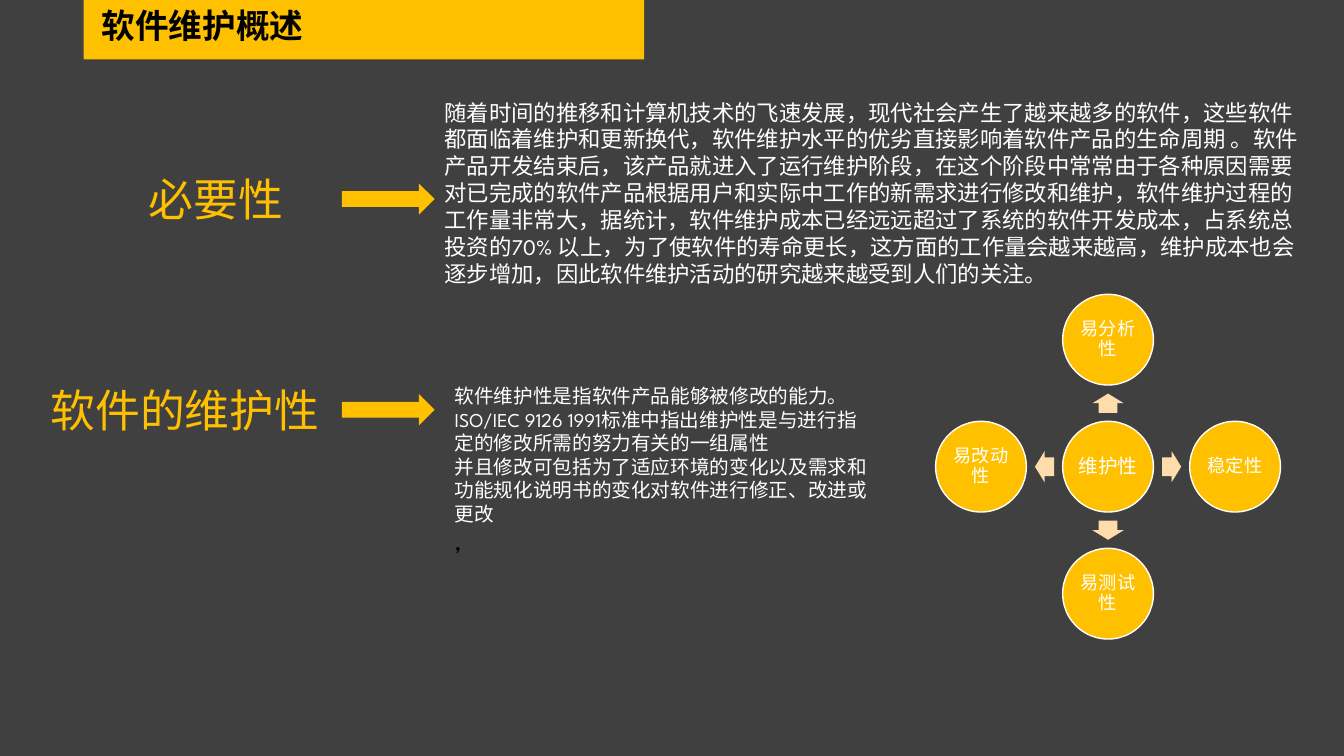
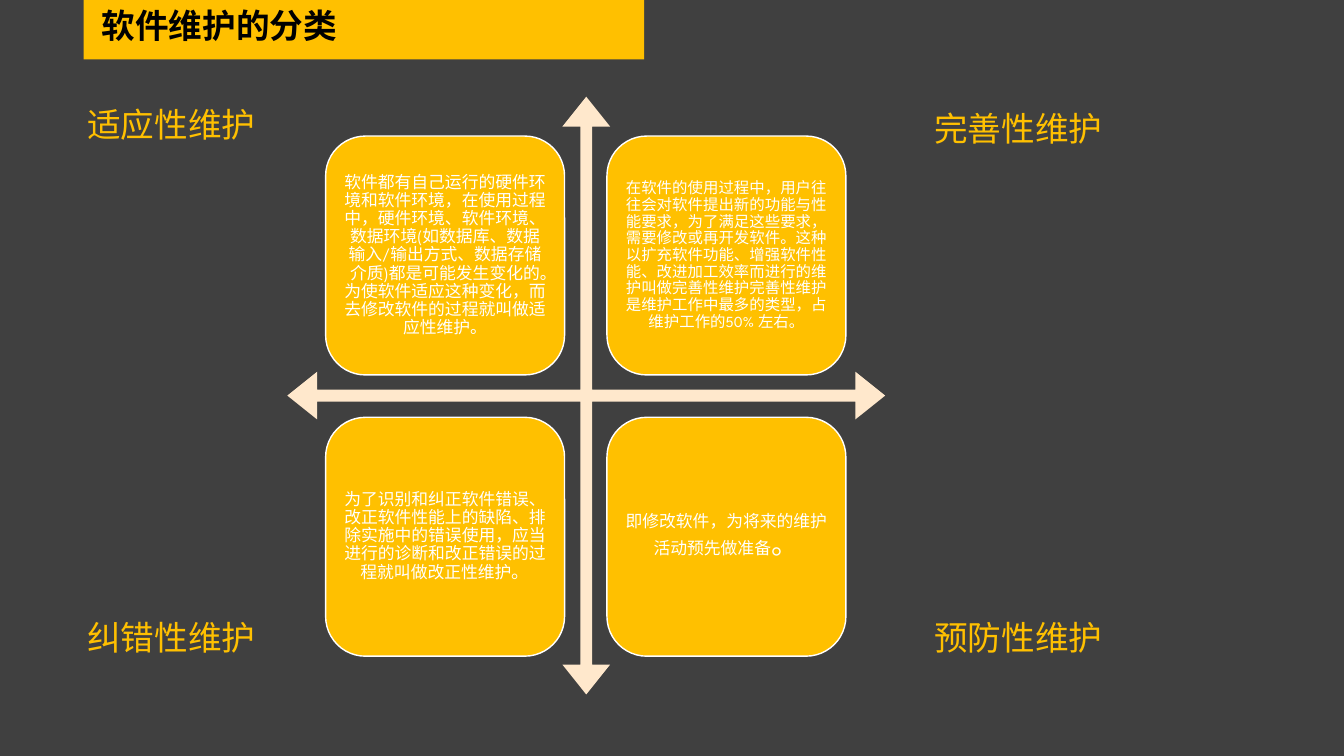
"""Build two slides on software maintenance: overview and classification."""
import pptx
import pptx.dml.color
import pptx.enum.shapes
import pptx.enum.text
import pptx.util

Inches = pptx.util.Inches
Pt = pptx.util.Pt
SHAPE = pptx.enum.shapes.MSO_SHAPE
CENTER = pptx.enum.text.PP_ALIGN.CENTER
MIDDLE = pptx.enum.text.MSO_ANCHOR.MIDDLE

FONT = "League Spartan"
DARK, GOLD, WHITE, BLACK = "404040", "FFC000", "FFFFFF", "000000"
PALE_ARROW, PALE_CROSS = "FFDCAB", "FFE8CC"

OVERVIEW_TITLE = "软件维护概述"
TOPICS = [
    {
        "heading": ("必要性", 1.37, 1.65, 1.55),
        "arrow_top": 1.82,
        "body_box": (4.31, 0.93, 8.82, 1.99),
        "body": [
            ("随着时间的推移和计算机技术的飞速发展，现代社会产生了越来越多的软件，这些软件都面临着维护和更新换代，软件维护水平的优劣直接影响着软件产品的生命周期 。软件", 16, WHITE),
            ("产品开发结束后，该产品就进入了运行维护阶段，在这个阶段中常常由于各种原因需要对已完成的软件产品根据用户和实际中工作的新需求进行修改和维护，软件维护过程的工作量非常大，据统计，软件维护成本已经远远超过了系统的软件开发成本，占系统总投资的70% 以上，为了使软件的寿命更长，这方面的工作量会越来越高，维护成本也会逐步增加，因此软件维护活动的研究越来越受到人们的关注。", 16, WHITE),
        ],
    },
    {
        "heading": ("软件的维护性", 0.39, 3.75, 2.89),
        "arrow_top": 3.91,
        "body_box": (4.41, 3.76, 4.38, 1.82),
        "body": [
            ("软件维护性是指软件产品能够被修改的能力。", 14, WHITE),
            ("ISO/IEC 9126 1991标准中指出维护性是与进行指定的修改所需的努力有关的一组属性", 14, WHITE),
            ("并且修改可包括为了适应环境的变化以及需求和功能规化说明书的变化对软件进行修正、改进或更改", 14, WHITE),
            (",", 18, BLACK),
        ],
    },
]
HUB = "维护性"
HUB_CENTER = (10.99, 4.63)
SPOKE, CIRCLE = 1.26, 0.9
SPOKES = [
    ("易分析性", 0, -1, 270),
    ("稳定性", 1, 0, 0),
    ("易测试性", 0, 1, 90),
    ("易改动性", -1, 0, 180),
]

TYPES_TITLE = "软件维护的分类"
CARD_LEFT, CARD_TOP, CARD, CARD_STEP = 3.23, 1.35, 2.37, 2.79
CATEGORIES = [
    ("适应性维护", 0.76, 0.98, [("软件都有自己运行的硬件环境和软件环境，在使用过程中，硬件环境、软件环境、数据环境(如数据库、数据输入/输出方式、数据存储介质)都是可能发生变化的。为使软件适应这种变化，而去修改软件的过程就叫做适应性维护。", 12)]),
    ("完善性维护", 9.16, 1.02, [("在软件的使用过程中，用户往往会对软件提出新的功能与性能要求，为了满足这些要求，需要修改或再开发软件。这种以扩充软件功能、增强软件性能、改进加工效率而进行的维护叫做完善性维护完善性维护是维护工作中最多的类型，占维护工作的50% 左右。", 11)]),
    ("纠错性维护", 0.76, 6.07, [("为了识别和纠正软件错误、改正软件性能上的缺陷、排除实施中的错误使用，应当进行的诊断和改正错误的过程就叫做改正性维护", 12), ("。", 13)]),
    ("预防性维护", 9.16, 6.07, [("即修改软件，为将来的维护活动预先做准备", 12), ("。", 20)]),
]


def rgb(value):
    return pptx.dml.color.RGBColor.from_string(value)


def set_font(font, size, color, bold=False):
    font.name = FONT
    font.size = Pt(size)
    font.bold = bold
    font.color.rgb = rgb(color)


def add_figure(slide, kind, left, top, width, height, fill, line=None, adjustments=()):
    shape = slide.shapes.add_shape(kind, Inches(left), Inches(top), Inches(width), Inches(height))
    shape.shadow.inherit = False
    shape.fill.solid()
    shape.fill.fore_color.rgb = rgb(fill)
    if line:
        shape.line.color.rgb = rgb(line)
        shape.line.width = Pt(1)
    else:
        shape.line.fill.background()
    for index, value in enumerate(adjustments):
        shape.adjustments[index] = value
    return shape


def add_text(slide, box, paragraphs, wrap=True, bold=False, align=None, spacing=None):
    frame = slide.shapes.add_textbox(*map(Inches, box)).text_frame
    frame.word_wrap = wrap
    for index, (text, size, color) in enumerate(paragraphs):
        paragraph = frame.add_paragraph() if index else frame.paragraphs[0]
        paragraph.text = text
        paragraph.alignment = align
        paragraph.line_spacing = spacing
        set_font(paragraph.font, size, color, bold)


def add_heading(slide, text, left, top, width, height, size):
    add_text(slide, (left, top, width, height), [(text, size, GOLD)], wrap=False, align=CENTER)


def fill_label(shape, runs, inset):
    frame = shape.text_frame
    frame.word_wrap = True
    frame.vertical_anchor = MIDDLE
    frame.margin_left = frame.margin_right = Inches(inset)
    frame.margin_top = frame.margin_bottom = Inches(inset)
    paragraph = frame.paragraphs[0]
    paragraph.alignment = CENTER
    paragraph.line_spacing = 0.9
    for text, size in runs:
        run = paragraph.add_run()
        run.text = text
        set_font(run.font, size, WHITE)


def add_slide(presentation, title):
    slide = presentation.slides.add_slide(presentation.slide_layouts[6])
    add_figure(slide, SHAPE.RECTANGLE, 0.83, 0, 5.56, 0.59, GOLD)
    add_text(slide, (0.91, 0.04, 3.75, 0.5), [(title, 24, BLACK)], bold=True, spacing=0.9)
    return slide


def add_circle(slide, text, size, center_x, center_y):
    circle = add_figure(slide, SHAPE.OVAL, center_x - CIRCLE / 2, center_y - CIRCLE / 2,
                        CIRCLE, CIRCLE, GOLD, WHITE)
    fill_label(circle, [(text, size)], 0.02)


def build_overview(presentation):
    slide = add_slide(presentation, OVERVIEW_TITLE)
    for topic in TOPICS:
        add_heading(slide, *topic["heading"], 0.64, 32)
        add_figure(slide, SHAPE.RIGHT_ARROW, 3.39, topic["arrow_top"], 0.92, 0.31, GOLD)
        add_text(slide, topic["body_box"], topic["body"])
    hub_x, hub_y = HUB_CENTER
    add_circle(slide, HUB, 14, hub_x, hub_y)
    width, height = 0.19, 0.31
    for text, step_x, step_y, rotation in SPOKES:
        arrow = add_figure(slide, SHAPE.RIGHT_ARROW,
                           hub_x + step_x * SPOKE / 2 - width / 2,
                           hub_y + step_y * SPOKE / 2 - height / 2,
                           width, height, PALE_ARROW, adjustments=(0.6, 0.5))
        arrow.rotation = rotation
        add_circle(slide, text, 13, hub_x + step_x * SPOKE, hub_y + step_y * SPOKE)


def build_types(presentation):
    slide = add_slide(presentation, TYPES_TITLE)
    add_figure(slide, SHAPE.QUAD_ARROW, 2.85, 0.96, 5.93, 5.93, PALE_CROSS,
               adjustments=(0.02, 0.04, 0.05))
    for index, (name, left, top, runs) in enumerate(CATEGORIES):
        row, column = divmod(index, 2)
        card = add_figure(slide, SHAPE.ROUNDED_RECTANGLE, CARD_LEFT + column * CARD_STEP,
                          CARD_TOP + row * CARD_STEP, CARD, CARD, GOLD, WHITE)
        fill_label(card, runs, 0.05)
        add_heading(slide, name, left, top, 1.88, 0.5, 24)


def main():
    presentation = pptx.Presentation()
    presentation.slide_width = Inches(13.33)
    presentation.slide_height = Inches(7.5)
    background = presentation.slide_master.background.fill
    background.solid()
    background.fore_color.rgb = rgb(DARK)
    build_overview(presentation)
    build_types(presentation)
    presentation.save("out.pptx")


if __name__ == "__main__":
    main()
